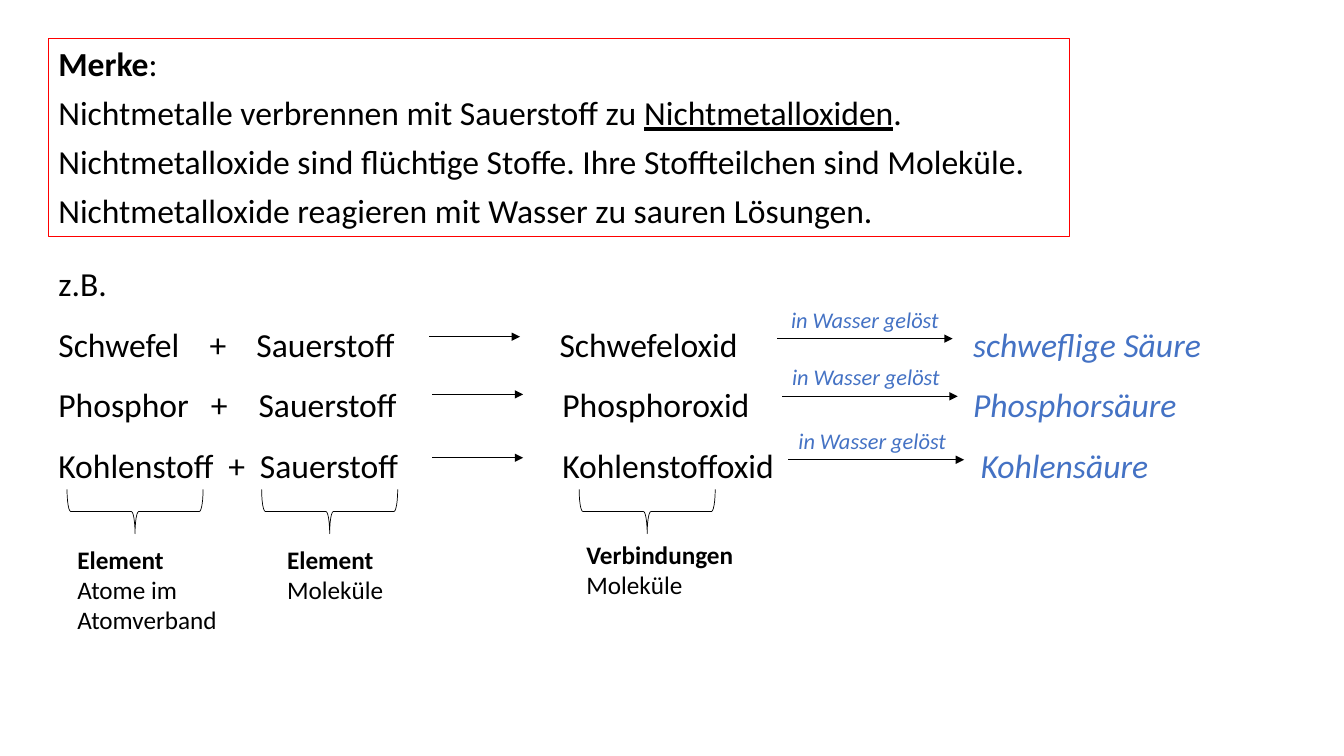
import pptx
import pptx.dml.color
import pptx.enum.shapes
import pptx.enum.text
import pptx.oxml.ns
import pptx.util
from lxml import etree

Pt = pptx.util.Pt
COLORS = {"black": "000000", "blue": "4472C4", "red": "FF0000"}
PLAIN, BOLD, UNDERLINED = {}, {"bold": True}, {"underline": True}
ACID = {"italic": True, "color": "blue"}

presentation = pptx.Presentation()
presentation.slide_width, presentation.slide_height = Pt(960), Pt(540)
slide = presentation.slides.add_slide(presentation.slide_layouts[6])


def add_text(left, top, width, height, size, paragraphs, spacing=PLAIN, tabs=()):
    """Add a text box; each paragraph is a list of (text, format) runs, tabs holds stops per paragraph."""
    box = slide.shapes.add_textbox(Pt(left), Pt(top), Pt(width), Pt(height))
    frame = box.text_frame
    frame.word_wrap = True
    frame.auto_size = pptx.enum.text.MSO_AUTO_SIZE.SHAPE_TO_FIT_TEXT
    for index, runs in enumerate(paragraphs):
        paragraph = frame.add_paragraph() if index else frame.paragraphs[0]
        if tabs and tabs[index]:
            properties = paragraph._p.get_or_add_pPr()
            tab_list = etree.SubElement(properties, pptx.oxml.ns.qn("a:tabLst"))
            for stop in tabs[index]:
                etree.SubElement(tab_list, pptx.oxml.ns.qn("a:tab"), pos=str(int(Pt(stop))), algn="l")
        for name, value in spacing.items():
            setattr(paragraph, name, value)
        for text, style in runs:
            run = paragraph.add_run()
            run.text = text
            settings = {"name": "Calibri", "size": Pt(size), "color": "black", **style}
            color = settings.pop("color")
            run.font.color.rgb = pptx.dml.color.RGBColor.from_string(COLORS[color])
            for name, value in settings.items():
                setattr(run.font, name, value)
    return box


def add_arrow(left, y, length):
    arrow = slide.shapes.add_connector(
        pptx.enum.shapes.MSO_CONNECTOR.STRAIGHT, Pt(left), Pt(y), Pt(left + length), Pt(y))
    arrow.line.width = Pt(0.5)
    arrow.line.color.rgb = pptx.dml.color.RGBColor.from_string(COLORS["black"])
    etree.SubElement(arrow.line._get_or_add_ln(), pptx.oxml.ns.qn("a:tailEnd"), type="triangle")
    etree.SubElement(arrow._element.spPr, pptx.oxml.ns.qn("a:effectLst"))


# Rule box
rule_box = add_text(34.6, 27.4, 729.4, 141.8, 24, [
    [("Merke", BOLD), (":", PLAIN)],
    [("Nichtmetalle verbrennen mit Sauerstoff zu ", PLAIN), ("Nichtmetalloxiden", UNDERLINED), (".", PLAIN)],
    [("Nichtmetalloxide sind flüchtige Stoffe. Ihre Stoffteilchen sind Moleküle.", PLAIN)],
    [("Nichtmetalloxide reagieren mit Wasser zu sauren Lösungen.", PLAIN)],
], {"space_after": Pt(6)})
rule_box.line.color.rgb = pptx.dml.color.RGBColor.from_string(COLORS["red"])
rule_box.line.width = Pt(0.75)

# Reactions: element, oxide, acid, tab stops
reactions = [
    ("Schwefel", "Schwefeloxid", "schweflige Säure", (108, 141.5, 358, 653.4)),
    ("Phosphor", "Phosphoroxid", "Phosphorsäure", (109, 143, 360, 653.4)),
    ("Kohlenstoff", "Kohlenstoffoxid", "Kohlensäure", (121.5, 144, 360, 658.8)),
]
equations = [[("z.B.", PLAIN)]]
for element, oxide, acid, stops in reactions:
    equations.append([(f"{element}\t+\tSauerstoff\t{oxide}\t", PLAIN), (acid, ACID)])
add_text(34.6, 169.9, 878.4, 177.1, 24, equations, {"line_spacing": 1.5},
         [()] + [reaction[3] for reaction in reactions])

# Arrows: reaction left, dissolving left, label left, reaction y
for reaction_left, water_left, label_left, y in [
    (306.7, 555.1, 558, 240.5),
    (308.9, 558.7, 558.7, 281.7),
    (308.9, 563.2, 563.2, 327),
]:
    add_arrow(reaction_left, y, 64.8)
    add_arrow(water_left, y + 1.4, 125.4)
    add_text(label_left, y - 25.6, 135.4, 26.6, 16, [[("in Wasser gelöst", ACID)]])

# Braces with captions: brace left, caption left, caption top, caption height, heading, particles
for brace_left, left, top, height, heading, particles in [
    (80.6, 48.2, 385.2, 72.7, "Element", "Atome im Atomverband"),
    (219.6, 198, 385.2, 51.1, "Element", "Moleküle"),
    (446.4, 411.8, 381.6, 51.1, "Verbindungen", "Moleküle"),
]:
    add_text(left, top, 125.3, height, 18, [[(heading, BOLD)], [(particles, PLAIN)]])
    brace = slide.shapes.add_shape(
        pptx.enum.shapes.MSO_SHAPE.RIGHT_BRACE, Pt(brace_left), Pt(316.8), Pt(31.7), Pt(97.2))
    brace.rotation = 90
    brace.shadow.inherit = False
    brace.fill.background()
    brace.line.width = Pt(0.5)
    brace.line.color.rgb = pptx.dml.color.RGBColor.from_string(COLORS["black"])

presentation.save("out.pptx")
